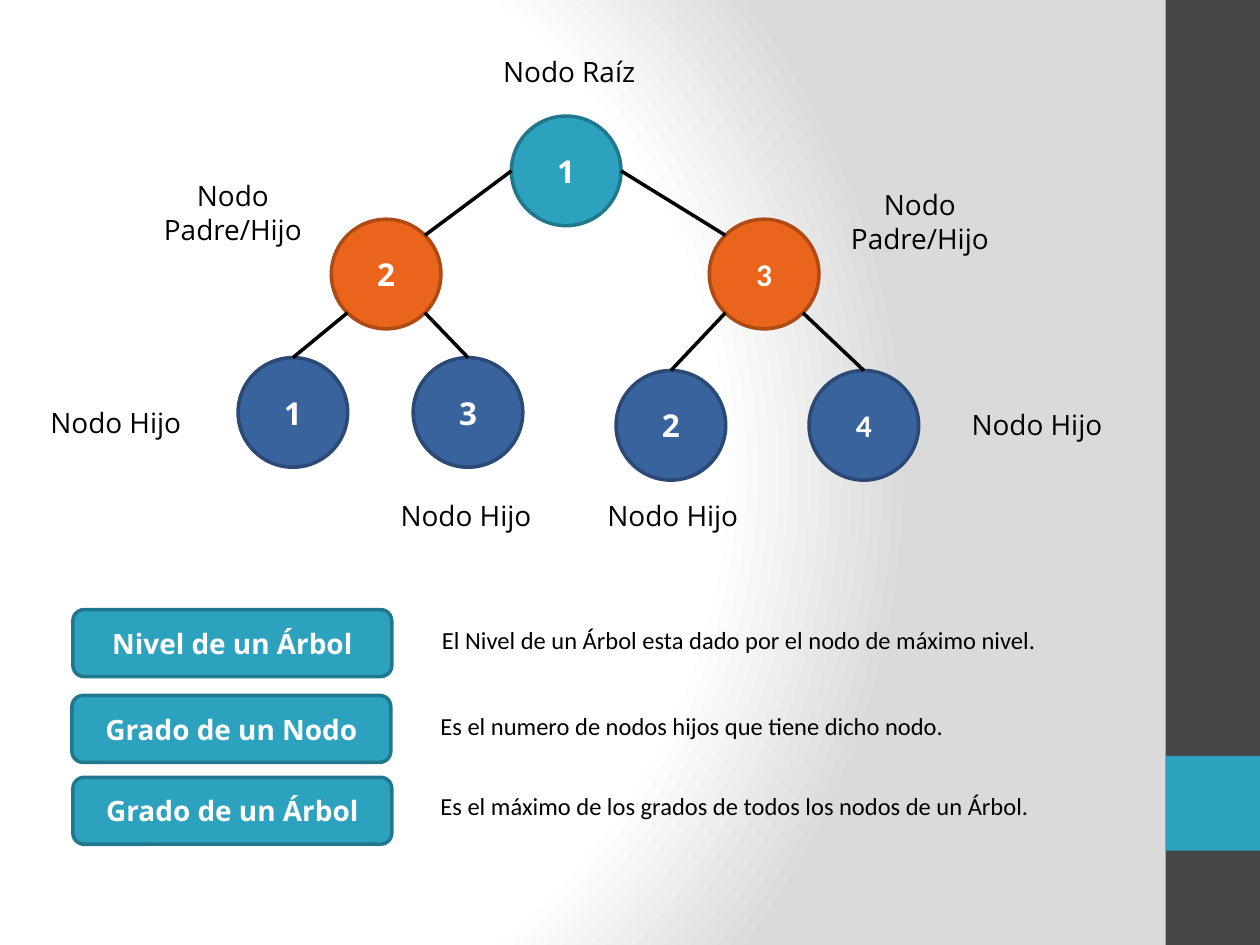
import math
import lxml.etree
import pptx
import pptx.util
import pptx.dml.color
import pptx.enum.dml
import pptx.enum.shapes
import pptx.enum.text
import pptx.oxml.ns

Cm, Pt = pptx.util.Cm, pptx.util.Pt
RGBColor = pptx.dml.color.RGBColor
PRESET = pptx.enum.shapes.MSO_SHAPE
ALIGN = pptx.enum.text.PP_ALIGN
qn = pptx.oxml.ns.qn

WHITE = RGBColor(0xFF, 0xFF, 0xFF)
BLACK = RGBColor(0, 0, 0)
SILVER = RGBColor(0xDA, 0xDA, 0xDA)
CHARCOAL = RGBColor(0x46, 0x46, 0x46)
TEAL, TEAL_EDGE = RGBColor(0x2D, 0xA2, 0xBF), RGBColor(0x21, 0x78, 0x8D)
ORANGE, ORANGE_EDGE = RGBColor(0xEB, 0x64, 0x1B), RGBColor(0xAE, 0x4A, 0x14)
BLUE, BLUE_EDGE = RGBColor(0x39, 0x63, 0x9D), RGBColor(0x2A, 0x49, 0x74)
HEADING, BODY = "Open Sans", "Calibri"

LEVEL_COLORS = [(TEAL, TEAL_EDGE), (ORANGE, ORANGE_EDGE), (BLUE, BLUE_EDGE)]
DIAMETER = 2.21
NODES = {
    "root": ("1", 0, 10.31, 2.34, HEADING),
    "left": ("2", 1, 6.68, 4.42, HEADING),
    "right": ("3", 1, 14.3, 4.42, BODY),
    "left-left": ("1", 2, 4.8, 7.21, HEADING),
    "left-right": ("3", 2, 8.33, 7.21, HEADING),
    "right-left": ("2", 2, 12.42, 7.47, HEADING),
    "right-right": ("4", 2, 16.31, 7.47, BODY),
}
BRANCHES = [
    ("root", "left"), ("root", "right"),
    ("left", "left-left"), ("left", "left-right"),
    ("right", "right-left"), ("right", "right-right"),
]
NODE_LABELS = [
    ("Nodo Raíz", 9.47, 0.97, 0.94),
    ("Nodo Padre/Hijo", 2.69, 3.48, 1.63),
    ("Nodo Padre/Hijo", 16.54, 3.66, 1.63),
    ("Nodo Hijo", 0.33, 8.05, 0.94),
    ("Nodo Hijo", 18.9, 8.1, 0.94),
    ("Nodo Hijo", 7.39, 9.93, 0.94),
    ("Nodo Hijo", 11.56, 9.93, 0.94),
]
DEFINITIONS = [
    ("Nivel de un Árbol", 1.47, 12.29,
     "El Nivel de un Árbol esta dado por el nodo de máximo nivel.", 8.36, 12.47),
    ("Grado de un Nodo", 1.45, 14.02,
     "Es el numero de nodos hijos que tiene dicho nodo.", 8.33, 14.2),
    ("Grado de un Árbol", 1.47, 15.67,
     "Es el máximo de los grados de todos los nodos de un Árbol.", 8.33, 15.82),
]
SIDEBAR = [(0, 19.05, CHARCOAL), (15.24, 1.91, TEAL)]

deck = pptx.Presentation()
deck.slide_width, deck.slide_height = Cm(25.4), Cm(19.05)
slide = deck.slides.add_slide(deck.slide_layouts[6])


def write(frame, words, size, font, color, align, bold=False):
    frame.word_wrap = True
    line = frame.paragraphs[0]
    line.text = words
    line.alignment = align
    line.font.size, line.font.name, line.font.bold = Pt(size), font, bold
    line.font.color.rgb = color
    return line


def add_block(preset, left, top, width, height, fill, edge=None):
    block = slide.shapes.add_shape(preset, Cm(left), Cm(top), Cm(width), Cm(height))
    block.shadow.inherit = False
    block.fill.solid()
    block.fill.fore_color.rgb = fill
    if edge is None:
        block.line.fill.background()
    else:
        block.line.color.rgb = edge
        block.line.width = Pt(2)
    block.text_frame.vertical_anchor = pptx.enum.text.MSO_ANCHOR.MIDDLE
    return block


def add_words(left, top, width, height, *style):
    box = slide.shapes.add_textbox(Cm(left), Cm(top), Cm(width), Cm(height))
    return write(box.text_frame, *style)


def branch_ends(parent, child):
    radius = DIAMETER / 2
    diagonal = radius * math.sqrt(0.5)
    level, px, py = NODES[parent][1:4]
    cx, cy = NODES[child][2:4]
    px, py, cx, cy = (value + radius for value in (px, py, cx, cy))
    side = 1 if cx > px else -1
    if level == 0:
        return px + side * radius, py, cx - side * diagonal, cy - diagonal
    return px + side * diagonal, py + diagonal, cx, cy - radius


backdrop = slide.background.fill
backdrop.gradient()
gradient = slide.background._cSld.find(".//" + qn("a:gradFill"))
for part in list(gradient):
    gradient.remove(part)
stops = lxml.etree.SubElement(gradient, qn("a:gsLst"))
for position, color in [(0, WHITE), (75, WHITE), (100, SILVER)]:
    stop = lxml.etree.SubElement(stops, qn("a:gs"), pos=str(position * 1000))
    lxml.etree.SubElement(stop, qn("a:srgbClr"), val=str(color))
circle = lxml.etree.SubElement(gradient, qn("a:path"), path="circle")
lxml.etree.SubElement(circle, qn("a:fillToRect"),
                      l="20000", t="50000", r="100000", b="50000")

for top, height, color in SIDEBAR:
    add_block(PRESET.RECTANGLE, 23.5, top, 1.9, height, color)

for number, level, left, top, font in NODES.values():
    node = add_block(PRESET.OVAL, left, top, DIAMETER, DIAMETER, *LEVEL_COLORS[level])
    write(node.text_frame, number, 18, font, WHITE, ALIGN.CENTER, True)

for parent, child in BRANCHES:
    branch = slide.shapes.add_connector(
        pptx.enum.shapes.MSO_CONNECTOR.STRAIGHT,
        *(Cm(value) for value in branch_ends(parent, child)))
    branch.line.color.rgb = BLACK
    branch.line.width = Pt(2)
    lxml.etree.SubElement(branch._element.spPr, qn("a:effectLst"))

for words, left, top, height in NODE_LABELS:
    add_words(left, top, 4.01, height, words, 16, HEADING, BLACK, ALIGN.CENTER)

for term, left, top, meaning, meaning_left, meaning_top in DEFINITIONS:
    plate = add_block(PRESET.ROUNDED_RECTANGLE, left, top, 6.43, 1.35, TEAL, TEAL_EDGE)
    write(plate.text_frame, term, 16, HEADING, WHITE, ALIGN.CENTER, True)
    line = add_words(meaning_left, meaning_top, 13.59, 1.19,
                     meaning, 14, BODY, BLACK, ALIGN.JUSTIFY)
    line.space_before = Pt(2.8)
    line._p.get_or_add_pPr().set("marL", str(Cm(0.3)))

deck.save("out.pptx")
